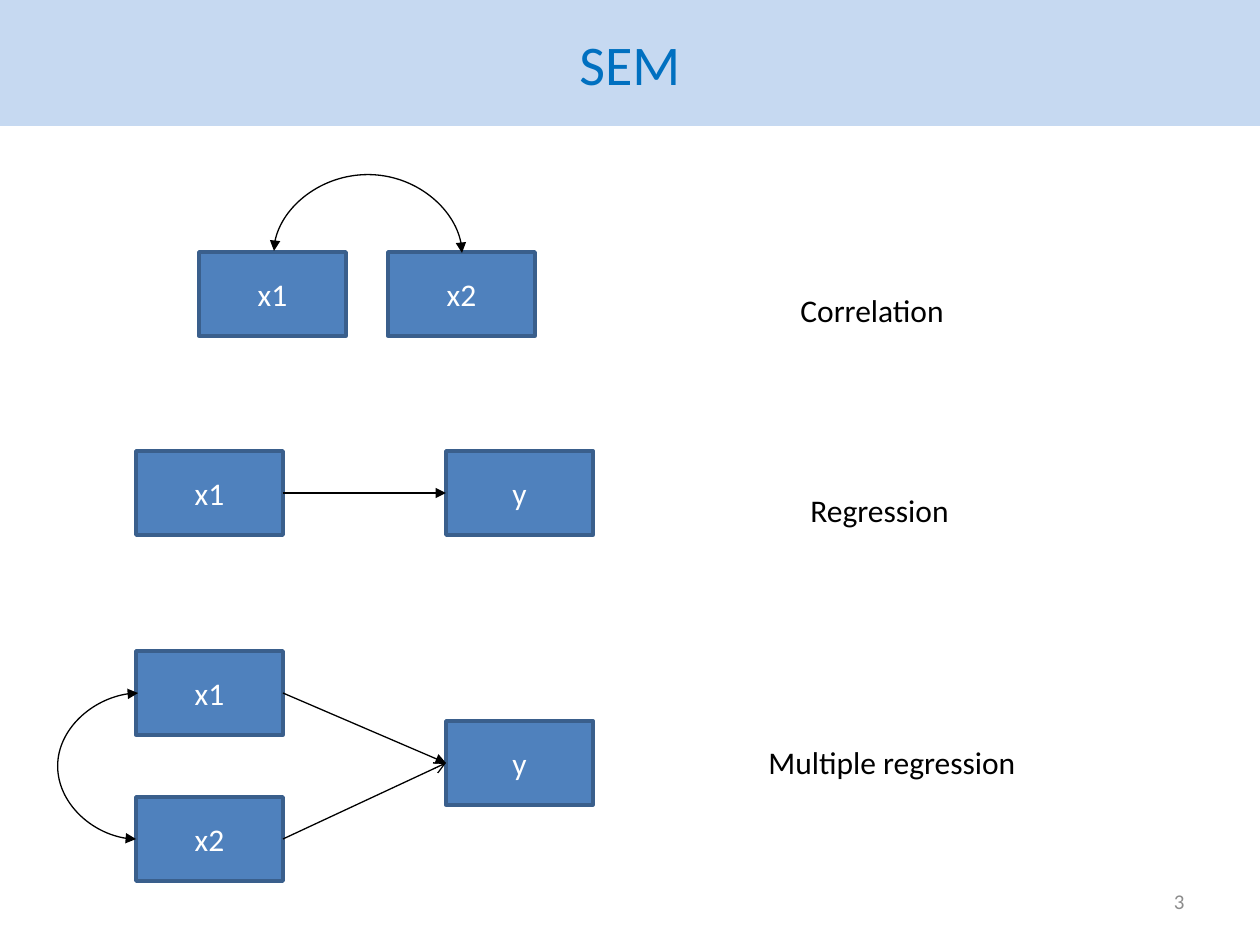
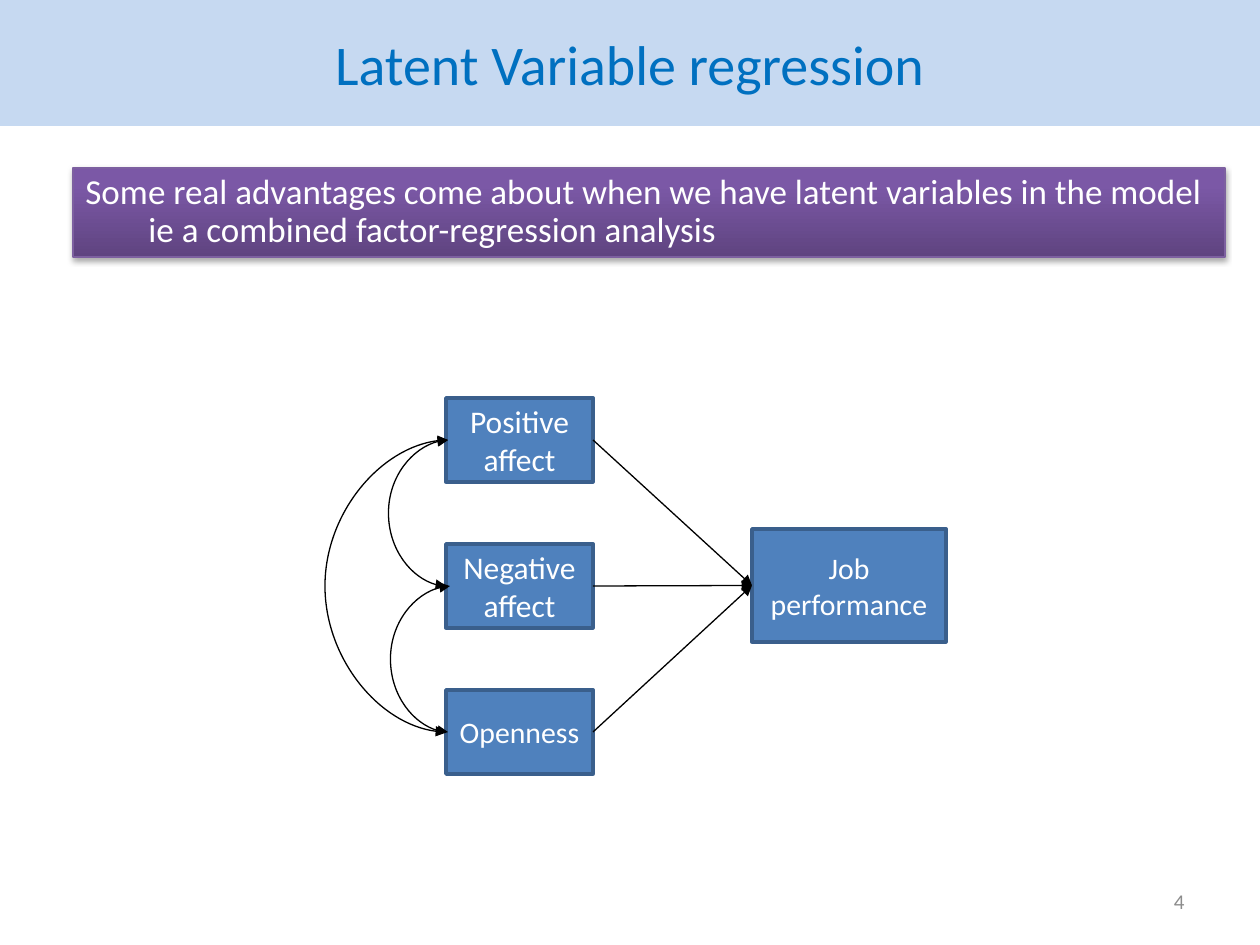
"""Build two slides of path diagrams on structural equation models."""
from dataclasses import dataclass

from lxml.etree import SubElement
from pptx import Presentation
from pptx.dml.color import RGBColor
from pptx.enum.shapes import MSO_CONNECTOR, MSO_SHAPE
from pptx.enum.text import MSO_ANCHOR, PP_ALIGN
from pptx.oxml.ns import qn
from pptx.util import Emu, Pt

EMU_PER_PX = 914400 / 126
FONT = "Calibri"
BAND, TITLE_BLUE = "C6D9F1", "0070C0"
BOX_FILL, BOX_LINE = "4F81BD", "3A5F8C"
PURPLE_DARK, PURPLE_LIGHT, PURPLE_LINE = "5F4480", "7B58A6", "7D60A0"
WHITE, BLACK, GREY = "FFFFFF", "000000", "8C8C8C"
RIGHT_SIDE, LEFT_SIDE = 3, 1


@dataclass(frozen=True)
class Variable:
    text: str
    left: int
    top: int
    width: int = 147
    height: int = 84
    size: int = 18


@dataclass(frozen=True)
class Path:
    start: int
    end: int
    head: str = "triangle"


@dataclass(frozen=True)
class Correlation:
    left: int
    top: int
    height: int
    bulge: int
    rotation: int = 180
    width: int = 2


@dataclass(frozen=True)
class Label:
    text: str
    left: int
    top: int


@dataclass(frozen=True)
class Diagram:
    title: str
    number: int
    variables: list[Variable]
    paths: list[Path]
    correlations: list[Correlation]
    labels: list[Label]


def px(length: int) -> Emu:
    return Emu(round(length * EMU_PER_PX))


def color(value: str) -> RGBColor:
    return RGBColor.from_string(value)


def format_text(frame, size: int, text_color: str, align=PP_ALIGN.LEFT, anchor=MSO_ANCHOR.TOP) -> None:
    frame.word_wrap = True
    frame.vertical_anchor = anchor
    for para in frame.paragraphs:
        para.alignment = align
        for span in para.runs:
            span.font.name = FONT
            span.font.size = Pt(size)
            span.font.color.rgb = color(text_color)


def add_title(page, text: str) -> None:
    title = page.shapes.title
    title.left, title.top, title.width, title.height = px(0), px(0), px(1260), px(126)
    title.fill.solid()
    title.fill.fore_color.rgb = color(BAND)
    title.text_frame.text = text
    format_text(title.text_frame, 32, TITLE_BLUE, PP_ALIGN.CENTER, MSO_ANCHOR.MIDDLE)


def add_label(page, label: Label) -> None:
    box = page.shapes.add_textbox(px(label.left), px(label.top), px(294), px(50))
    box.text_frame.text = label.text
    format_text(box.text_frame, 18, BLACK)


def add_number(page, number: int) -> None:
    box = page.shapes.add_textbox(px(903), px(876), px(294), px(50))
    box.text_frame.text = str(number)
    format_text(box.text_frame, 12, GREY, PP_ALIGN.RIGHT, MSO_ANCHOR.MIDDLE)


def add_variable(page, variable: Variable):
    box = page.shapes.add_shape(MSO_SHAPE.RECTANGLE, px(variable.left), px(variable.top),
                                px(variable.width), px(variable.height))
    box.shadow.inherit = False
    box.fill.solid()
    box.fill.fore_color.rgb = color(BOX_FILL)
    box.line.color.rgb = color(BOX_LINE)
    box.line.width = Pt(2)
    box.text_frame.text = variable.text
    format_text(box.text_frame, variable.size, WHITE, PP_ALIGN.CENTER, MSO_ANCHOR.MIDDLE)
    return box


def style_connector(connector, **ends: str) -> None:
    connector.line.color.rgb = color(BLACK)
    connector.line.width = Pt(0.75)
    properties = connector._element.spPr
    line = properties.find(qn("a:ln"))
    for end, kind in ends.items():
        SubElement(line, qn(f"a:{end}"), type=kind)
    SubElement(properties, qn("a:effectLst"))


def add_path(page, start, end, head: str) -> None:
    arrow = page.shapes.add_connector(MSO_CONNECTOR.STRAIGHT, 0, 0, 0, 0)
    arrow.begin_connect(start, RIGHT_SIDE)
    arrow.end_connect(end, LEFT_SIDE)
    style_connector(arrow, tailEnd=head)


def add_correlation(page, item: Correlation) -> None:
    curve = page.shapes.add_connector(MSO_CONNECTOR.CURVE, px(item.left), px(item.top + item.height),
                                      px(item.left + item.width), px(item.top))
    curve.rotation = item.rotation
    geometry = curve._element.spPr.find(qn("a:prstGeom"))
    adjustments = geometry.find(qn("a:avLst"))
    if adjustments is None:
        adjustments = SubElement(geometry, qn("a:avLst"))
    bend = item.bulge * 100000 // item.width
    SubElement(adjustments, qn("a:gd"), name="adj1", fmla=f"val {bend}")
    style_connector(curve, headEnd="triangle", tailEnd="triangle")


def add_banner(page, lead: str, detail: str) -> None:
    banner = page.shapes.add_shape(MSO_SHAPE.RECTANGLE, px(73), px(168), px(1152), px(89))
    banner.fill.gradient()
    banner.fill.gradient_angle = 90
    for stop, position, shade in zip(banner.fill.gradient_stops, (0, 0.8), (PURPLE_DARK, PURPLE_LIGHT)):
        stop.position = position
        stop.color.rgb = color(shade)
    banner.line.color.rgb = color(PURPLE_LINE)
    banner.line.width = Pt(0.75)
    banner.shadow.inherit = False
    effects = banner._element.spPr.find(qn("a:effectLst"))
    shadow = SubElement(effects, qn("a:outerShdw"), blurRad="40000", dist="23000",
                        dir="5400000", rotWithShape="0")
    shade = SubElement(shadow, qn("a:srgbClr"), val=BLACK)
    SubElement(shade, qn("a:alpha"), val="35000")
    frame = banner.text_frame
    frame.text = lead
    para = frame.add_paragraph()
    para.text = detail
    para.level = 1
    para._p.get_or_add_pPr().set("marL", str(px(63)))
    for para in frame.paragraphs:
        para.line_spacing = 0.9
    format_text(frame, 20, WHITE)


def add_diagram(deck, diagram: Diagram):
    page = deck.slides.add_slide(deck.slide_layouts[5])
    add_title(page, diagram.title)
    add_number(page, diagram.number)
    boxes = [add_variable(page, variable) for variable in diagram.variables]
    for item in diagram.paths:
        add_path(page, boxes[item.start], boxes[item.end], item.head)
    for label in diagram.labels:
        add_label(page, label)
    for item in diagram.correlations:
        add_correlation(page, item)
    return page


SEM = Diagram(
    "SEM", 3,
    [Variable("x1", 199, 252), Variable("x2", 388, 252),
     Variable("x1", 136, 451), Variable("y", 446, 451),
     Variable("x1", 136, 651), Variable("x2", 136, 797), Variable("y", 446, 721)],
    [Path(2, 3), Path(4, 6), Path(5, 6, "arrow")],
    [Correlation(136, 693, 146, 81), Correlation(367, 158, 188, 79, rotation=270)],
    [Label("Correlation", 788, 285), Label("Regression", 798, 485),
     Label("Multiple regression", 756, 737)],
)

LATENT = Diagram(
    "Latent Variable regression", 4,
    [Variable("Positive affect", 446, 398), Variable("Negative affect", 446, 544),
     Variable("Openness", 446, 690, size=17),
     Variable("Job performance", 752, 529, 194, 113, 17)],
    [Path(predictor, 3) for predictor in range(3)],
    [Correlation(446, 440, 146, 60), Correlation(448, 586, 146, 60),
     Correlation(446, 440, 292, 124)],
    [],
)


def main() -> None:
    deck = Presentation()
    deck.slide_width, deck.slide_height = px(1260), px(945)
    add_diagram(deck, SEM)
    page = add_diagram(deck, LATENT)
    add_banner(page, "Some real advantages come about when we have latent variables in the model",
               "ie a combined factor-regression analysis")
    deck.save("out.pptx")


if __name__ == "__main__":
    main()
